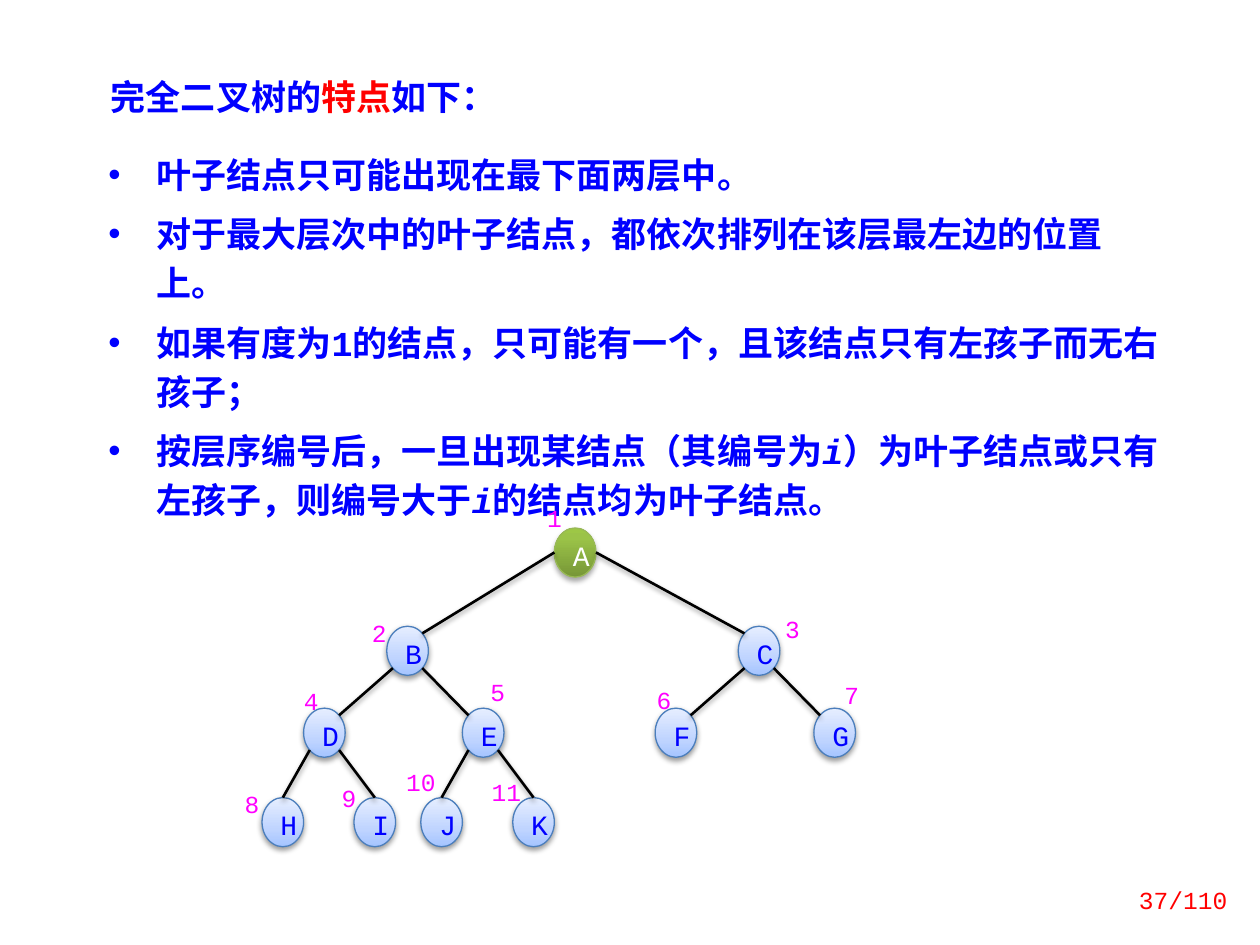
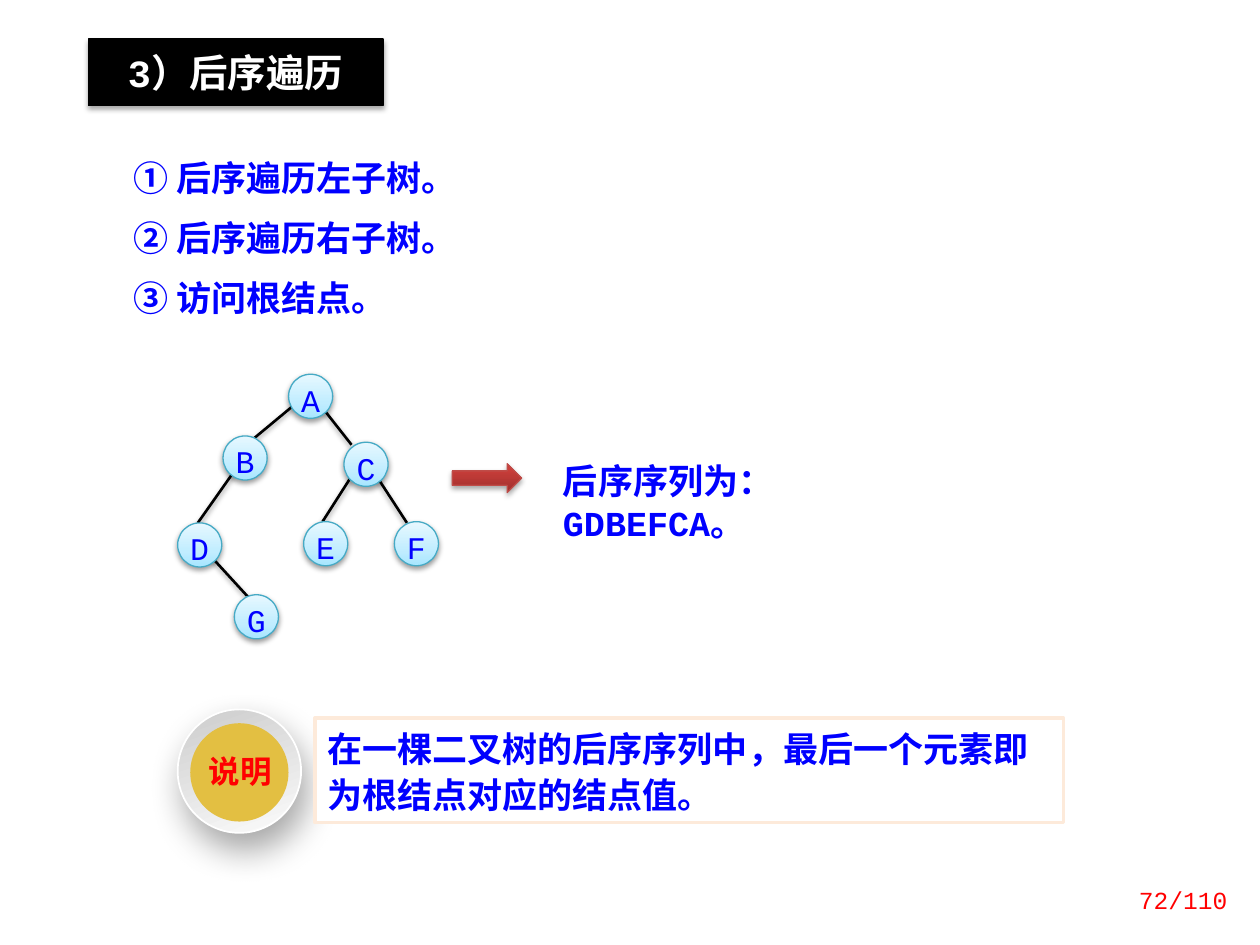
"""Build two slides on complete binary trees and post-order traversal."""
from math import cos, radians, sin

from lxml.etree import SubElement
from pptx import Presentation
from pptx.dml.color import RGBColor
from pptx.enum.shapes import MSO_CONNECTOR, MSO_SHAPE
from pptx.enum.text import MSO_ANCHOR, MSO_AUTO_SIZE, PP_ALIGN
from pptx.oxml.ns import qn
from pptx.util import Inches, Pt

BLUE = RGBColor(0x00, 0x00, 0xFF)
RED = RGBColor(0xFF, 0x00, 0x00)
MAGENTA = RGBColor(0xFF, 0x00, 0xFF)
BLACK = RGBColor(0x00, 0x00, 0x00)
WHITE = RGBColor(0xFF, 0xFF, 0xFF)
GOLD = RGBColor(0xE3, 0xBF, 0x42)
PEACH = RGBColor(0xFD, 0xEA, 0xDA)
GREEN_EDGE = RGBColor(0x98, 0xB9, 0x55)
BLUE_EDGE = RGBColor(0x4B, 0x7E, 0xBC)
AQUA_EDGE = RGBColor(0x46, 0xAA, 0xC5)
ARROW_EDGE = RGBColor(0xBF, 0x4C, 0x48)

GREEN_FADE = [(0, "779737"), (80, "9BC348"), (100, "9DC746")]
BLUE_FADE = [(0, "A4C4FF"), (35, "BFD4FF"), (100, "E6EEFF")]
AQUA_FADE = [(0, "A7E6FF"), (35, "C1EDFF"), (100, "E7F8FF")]
RED_FADE = [(0, "9C2F2D"), (80, "CB3E3A"), (100, "CE3B37")]
RING_FADE = [(0, "CCCCCC"), (100, "FCFCFC")]

SOFT = (38, 3.1, 1.6, 90)
STRONG = (35, 3.1, 1.8, 90)
DEEP = (34, 20, 10, 70)

MONO, HAN = "Courier New", "Noto Sans CJK SC"
ITALIC_I = ("i", {"italic": True})

FEATURES_TITLE = ["完全二叉树的", ("特点", {"color": RED}), "如下："]
FEATURES = [
    "叶子结点只可能出现在最下面两层中。",
    "对于最大层次中的叶子结点，都依次排列在该层最左边的位置上。",
    "如果有度为1的结点，只可能有一个，且该结点只有左孩子而无右孩子；",
    ["按层序编号后，一旦出现某结点（其编号为", ITALIC_I,
     "）为叶子结点或只有左孩子，则编号大于", ITALIC_I, "的结点均为叶子结点。"],
]
LEVEL_TOPS = [4.19, 4.97, 5.62, 6.33]
LEVEL_ORDER = [  # letter, node left, number left, number top
    ("A", 4.4, 4.2, 4.04), ("B", 3.07, 2.81, 4.95), ("C", 5.86, 6.09, 4.92),
    ("D", 2.41, 2.27, 5.49), ("E", 3.67, 3.75, 5.42), ("F", 5.2, 5.07, 5.48),
    ("G", 6.46, 6.56, 5.44), ("H", 2.08, 1.8, 6.31), ("I", 2.81, 2.57, 6.26),
    ("J", 3.34, 3.14, 6.13), ("K", 4.07, 3.82, 6.21),
]
NODE_W, NODE_H = 0.33, 0.39

STEPS = ["① 后序遍历左子树。", "② 后序遍历右子树。", "③ 访问根结点。"]
POST_NODES = {
    "A": (2.29, 2.97), "B": (1.77, 3.46), "C": (2.73, 3.51), "E": (2.41, 4.14),
    "F": (3.13, 4.14), "D": (1.41, 4.15), "G": (1.86, 4.72),
}
POST_EDGES = [
    ((2.57, 3.25), (2.79, 3.53)), ((2.79, 3.78), (2.56, 4.14)),
    ((1.65, 4.39), (1.98, 4.75)), ((2.97, 3.75), (3.23, 4.15)),
    ((1.88, 3.71), (1.57, 4.15)), ((2.46, 3.11), (1.93, 3.55)),
]
NOTE = "在一棵二叉树的后序序列中，最后一个元素即为根结点对应的结点值。"


def write(tf, paras, size=20, color=BLUE, bold=False, font=MONO, align=PP_ALIGN.LEFT,
          inset=(0.1, 0.05, 0.1, 0.05), anchor=MSO_ANCHOR.TOP, line=None, before=0,
          wrap=True, bullet=False):
    tf.auto_size = MSO_AUTO_SIZE.NONE
    tf.word_wrap, tf.vertical_anchor = wrap, anchor
    tf.margin_left, tf.margin_top, tf.margin_right, tf.margin_bottom = map(Inches, inset)
    for i, runs in enumerate(paras):
        p = tf.add_paragraph() if i else tf.paragraphs[0]
        if bullet:
            ppr = p._p.get_or_add_pPr()
            ppr.set("marL", str(Inches(0.38)))
            ppr.set("indent", str(-Inches(0.38)))
            ppr.set("hangingPunct", "0")
            SubElement(ppr, qn("a:buFont")).set("typeface", "Arial")
            SubElement(ppr, qn("a:buChar")).set("char", "•")
        p.alignment = align
        p.space_before = Pt(before if i else 0)
        if line:
            p.line_spacing = line
        for run in [runs] if isinstance(runs, str) else runs:
            text, extra = (run, {}) if isinstance(run, str) else run
            r = p.add_run()
            r.text = text
            r.font.size, r.font.bold, r.font.name = Pt(size), bold, font
            r.font.italic = extra.get("italic", False)
            r.font.color.rgb = extra.get("color", color)
            SubElement(r._r.get_or_add_rPr(), qn("a:ea")).set("typeface", HAN)


def cast_shadow(sp, shadow):
    """Append a black outer shadow, or an empty effect list."""
    effects = SubElement(sp._element.spPr, qn("a:effectLst"))
    if shadow:
        alpha, blur, dist, angle = shadow
        outer = SubElement(effects, qn("a:outerShdw"), blurRad=str(Pt(blur)),
                           dist=str(Pt(dist)), dir=str(angle * 60000), rotWithShape="0")
        clr = SubElement(outer, qn("a:srgbClr"), val="000000")
        SubElement(clr, qn("a:alpha"), val=str(alpha * 1000))


def style(sp, fill=None, edge=None, width=0.75, shadow=None, angle=270):
    if isinstance(fill, list):
        sp.fill.gradient()
        sp.fill.gradient_angle = 360 - angle
        stops = sp._element.spPr.find(".//" + qn("a:gsLst"))
        stops.clear()
        for pos, rgb in fill:
            stop = SubElement(stops, qn("a:gs"), pos=str(pos * 1000))
            SubElement(stop, qn("a:srgbClr"), val=rgb)
    elif fill is not None:
        sp.fill.solid()
        sp.fill.fore_color.rgb = fill
    if edge is None:
        sp.line.fill.background()
    else:
        sp.line.color.rgb, sp.line.width = edge, Pt(width)
    cast_shadow(sp, shadow)


def add_shape(s, kind, box, **look):
    sp = s.shapes.add_shape(kind, *map(Inches, box))
    style(sp, **look)
    return sp


def add_text(s, box, paras, **fmt):
    sp = s.shapes.add_textbox(*map(Inches, box))
    write(sp.text_frame, paras, **fmt)
    return sp


def add_edge(s, start, end):
    cx = s.shapes.add_connector(MSO_CONNECTOR.STRAIGHT, *map(Inches, (*start, *end)))
    cx.line.color.rgb, cx.line.width = BLACK, Pt(1.5)
    cast_shadow(cx, SOFT)


def add_slide(prs, box, title, number, **fmt):
    s = prs.slides.add_slide(prs.slide_layouts[5])
    sp = s.shapes.title
    sp.left, sp.top, sp.width, sp.height = map(Inches, box)
    write(sp.text_frame, [title], bold=True, **fmt)
    add_text(s, (8.7, 6.94, 1.14, 0.4), [f"{number}/110"], size=14, color=RED,
             align=PP_ALIGN.RIGHT, anchor=MSO_ANCHOR.MIDDLE)
    return s


def rim(left, top, angle):
    """Return the point of a node's outline at a clockwise angle."""
    a = radians(angle)
    return (left + NODE_W / 2 * (1 + cos(a)), top + NODE_H / 2 * (1 + sin(a)))


def features_slide(prs):
    s = add_slide(prs, (0.78, 0.55, 5.08, 0.44), FEATURES_TITLE, 37)
    sp = add_text(s, (0.7, 1.04, 8.67, 2.85), FEATURES, bold=True, bullet=True,
                  inset=(0.16, 0.12, 0.1, 0.12), line=Pt(28), before=6)
    style(sp, fill=WHITE)
    corners = {}
    for n, (letter, left, num_left, num_top) in enumerate(LEVEL_ORDER, 1):
        depth = n.bit_length() - 1
        top = LEVEL_TOPS[depth]
        corners[n] = (left, top)
        root = n == 1
        node = add_shape(s, MSO_SHAPE.OVAL, (left, top, NODE_W, NODE_H),
                         fill=GREEN_FADE if root else BLUE_FADE,
                         edge=GREEN_EDGE if root else BLUE_EDGE,
                         shadow=STRONG if root else SOFT)
        write(node.text_frame, [letter], size=16, color=WHITE if root else BLUE,
              align=PP_ALIGN.CENTER, anchor=MSO_ANCHOR.MIDDLE, line=Pt(22))
        add_text(s, (num_left, num_top, 0.4, 0.19), [str(n)], size=14, color=MAGENTA,
                 align=PP_ALIGN.CENTER, inset=(0, 0, 0, 0), line=0.8)
        if not root:
            is_left = n % 2 == 0
            tilt = 0 if depth == 1 else 45
            leave = 180 - tilt if is_left else tilt
            arrive = 270 if depth == 3 else 315 if is_left else 225
            add_edge(s, rim(*corners[n // 2], leave), rim(left, top, arrive))


def post_order_slide(prs):
    s = add_slide(prs, (0.7, 0.31, 2.34, 0.53), "3）后序遍历", 72, size=22, color=WHITE,
                  align=PP_ALIGN.CENTER, inset=(0.1, 0.08, 0.1, 0.08))
    style(s.shapes.title, fill=BLACK, edge=BLACK, shadow=STRONG)
    sp = add_text(s, (0.86, 1.12, 2.89, 1.58), STEPS, bold=True,
                  inset=(0.2, 0.12, 0.1, 0.12), before=10.4)
    style(sp, fill=WHITE)
    for start, end in POST_EDGES:
        add_edge(s, start, end)
    for letter, corner in POST_NODES.items():
        node = add_shape(s, MSO_SHAPE.OVAL, (*corner, 0.35, 0.35), fill=AQUA_FADE,
                         edge=AQUA_EDGE, shadow=SOFT)
        write(node.text_frame, [letter], size=18, align=PP_ALIGN.CENTER, inset=(0, 0, 0, 0))
    add_text(s, (4.37, 3.6, 3.13, 0.44), ["后序序列为：GDBEFCA。"], bold=True)
    add_shape(s, MSO_SHAPE.RIGHT_ARROW, (3.59, 3.68, 0.55, 0.23), fill=RED_FADE,
              edge=ARROW_EDGE, shadow=STRONG)
    add_shape(s, MSO_SHAPE.OVAL, (1.41, 5.63, 0.98, 0.98), fill=RING_FADE, angle=70,
              edge=WHITE, width=1, shadow=DEEP)
    add_shape(s, MSO_SHAPE.OVAL, (1.51, 5.74, 0.78, 0.78), fill=GOLD)
    add_text(s, (1.55, 5.98, 0.71, 0.34), ["说明"], size=18, color=RED, bold=True,
             font=HAN, align=PP_ALIGN.CENTER, line=0.8, wrap=False)
    note = add_shape(s, MSO_SHAPE.RECTANGLE, (2.5, 5.7, 5.94, 0.83), fill=WHITE,
                     edge=PEACH, width=2)
    write(note.text_frame, [NOTE], bold=True, line=Pt(26))


def main():
    prs = Presentation()
    prs.slide_width, prs.slide_height = Inches(10), Inches(7.5)
    features_slide(prs)
    post_order_slide(prs)
    prs.save("out.pptx")


if __name__ == "__main__":
    main()
